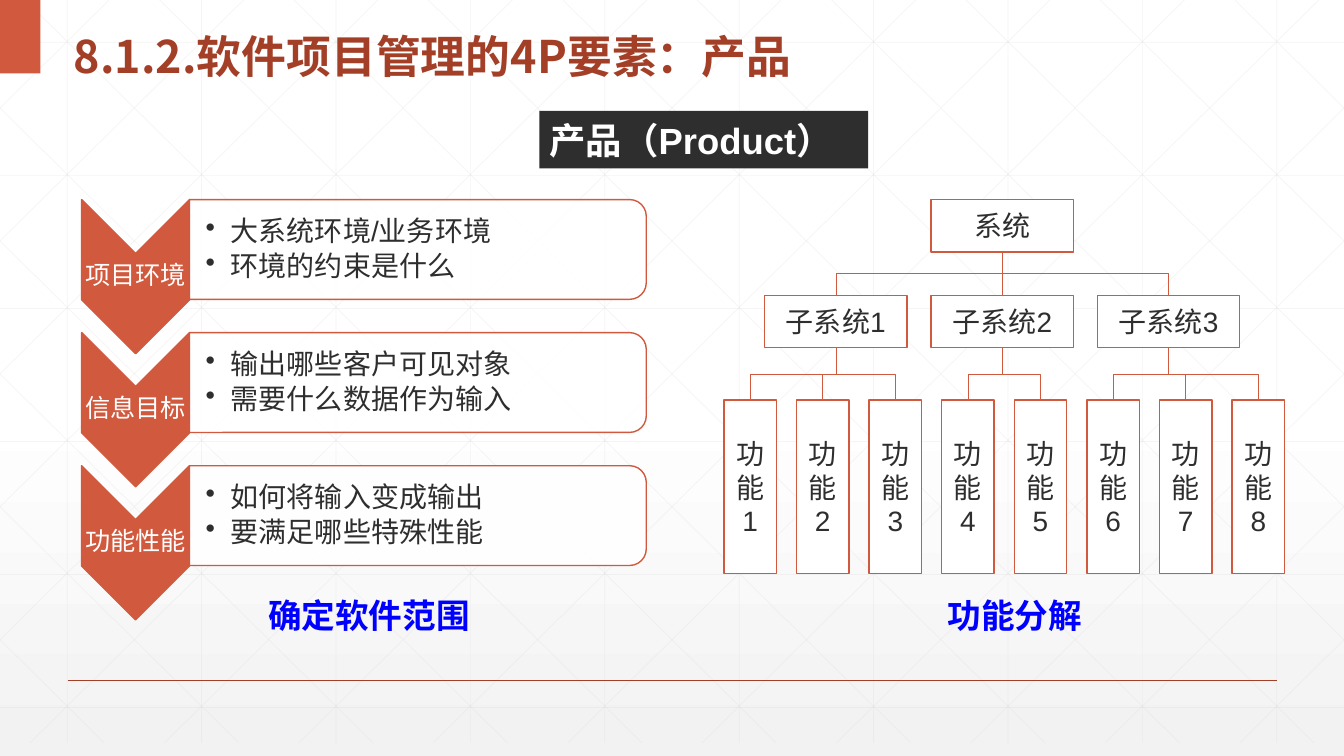
from lxml.etree import SubElement
from pptx import Presentation
from pptx.dml.color import RGBColor
from pptx.enum.shapes import MSO_CONNECTOR as Connector, MSO_SHAPE as Preset
from pptx.enum.text import MSO_ANCHOR as Anchor, MSO_AUTO_SIZE as AutoSize, PP_ALIGN as Align
from pptx.oxml.ns import qn
from pptx.util import Inches, Pt

WIDTH, HEIGHT, GRID_BOTTOM = 13.33, 7.5, 7.37
LATIN, CJK = "Arial", "Noto Sans CJK SC"
ORANGE, RUST, DARK, WHITE, BLUE = "D15A3E", "A43F27", "2D2E2D", "FFFFFF", "0000FF"

TITLE = "8.1.2.软件项目管理的4P要素：产品"
PRODUCT = "产品（Product）"
SCOPE = [
    ("项目环境", ["大系统环境/业务环境", "环境的约束是什么"]),
    ("信息目标", ["输出哪些客户可见对象", "需要什么数据作为输入"]),
    ("功能性能", ["如何将输入变成输出", "要满足哪些特殊性能"]),
]
SYSTEM = "系统"
SUBSYSTEMS = [
    ("子系统1", ["功能1", "功能2", "功能3"]),
    ("子系统2", ["功能4", "功能5"]),
    ("子系统3", ["功能6", "功能7", "功能8"]),
]
CAPTIONS = [("确定软件范围", 2.56, 2.22), ("功能分解", 9.3, 1.56)]

GRID_STEP, GRID_ROW_STEP, DIAGONAL_RUN = WIDTH / 10, 1.32, 7.45
SCOPE_TOP, SCOPE_STEP = 1.98, 1.32
CHEVRON_LEFT, CHEVRON_WIDTH, CHEVRON_HEIGHT = 0.81, 1.07, 1.53
PANEL_LEFT, PANEL_WIDTH, PANEL_HEIGHT = 1.88, 4.53, 0.99
SYSTEM_CENTER, SUBSYSTEM_STEP, BOX_WIDTH, BOX_HEIGHT = 9.94, 1.65, 1.41, 0.52
SYSTEM_TOP, SUBSYSTEM_TOP, FUNCTION_TOP = 1.98, 2.93, 3.97
FUNCTION_LEFT, FUNCTION_STEP, FUNCTION_WIDTH, FUNCTION_HEIGHT = 7.18, 0.72, 0.52, 1.72


def color(hex_string):
    return RGBColor.from_string(hex_string)


def set_alpha(fill_owner, percent):
    rgb = next(fill_owner.iter(qn("a:srgbClr")))
    SubElement(rgb, qn("a:alpha")).set("val", str(percent * 1000))


def write(shape, lines, size, ink, font=LATIN, bold=False, align=Align.LEFT,
          anchor=Anchor.TOP, spacing=None, after=None, bullet=None, wrap=True, insets=None):
    frame = shape.text_frame
    frame.auto_size = AutoSize.NONE
    frame.word_wrap = wrap
    frame.vertical_anchor = anchor
    if insets:
        frame.margin_left, frame.margin_top, frame.margin_right, frame.margin_bottom = map(Inches, insets)
    for index, line in enumerate(lines):
        paragraph = frame.add_paragraph() if index else frame.paragraphs[0]
        paragraph.alignment = align
        if spacing:
            paragraph.line_spacing = spacing
        if after:
            paragraph.space_after = Pt(after)
        if bullet:
            properties = paragraph._p.get_or_add_pPr()
            properties.set("marL", str(Inches(0.25)))
            properties.set("indent", str(-Inches(0.25)))
            SubElement(properties, qn("a:buChar")).set("char", bullet)
        run = paragraph.add_run()
        run.text = line
        run.font.size, run.font.bold, run.font.name = Pt(size), bold, font
        run.font.color.rgb = color(ink)
        SubElement(run._r.get_or_add_rPr(), qn("a:ea")).set("typeface", CJK)


def add_box(slide, preset, left, top, width, height, fill, line=None, rotation=0):
    shape = slide.shapes.add_shape(preset, *map(Inches, (left, top, width, height)))
    shape.shadow.inherit = False
    shape.rotation = rotation
    shape.fill.solid()
    shape.fill.fore_color.rgb = color(fill)
    if line:
        shape.line.color.rgb = color(line)
        shape.line.width = Pt(1)
    else:
        shape.line.fill.background()
    return shape


def add_turned_box(slide, preset, left, top, width, height, fill):
    shift = (width - height) / 2
    return add_box(slide, preset, left + shift, top - shift, height, width, fill, ORANGE, 90)


def add_text_box(slide, left, top, width, height, lines, **text_format):
    box = slide.shapes.add_textbox(*map(Inches, (left, top, width, height)))
    write(box, lines, **text_format)
    return box


def add_line(slide, start, end, ink, weight, kind=Connector.STRAIGHT):
    connector = slide.shapes.add_connector(kind, *map(Inches, (*start, *end)))
    connector.line.color.rgb = color(ink)
    connector.line.width = Pt(weight)
    SubElement(connector._element.spPr, qn("a:effectLst"))
    return connector


def add_branch(slide, start, end):
    (x1, y1), (x2, y2) = start, end
    if abs(x1 - x2) < 0.01:
        add_line(slide, start, end, ORANGE, 0.5)
        return
    middle_x, middle_y = (x1 + x2) / 2, (y1 + y2) / 2
    half_drop, half_span = (y2 - y1) / 2, abs(x2 - x1) / 2
    side = 1 if x2 < x1 else -1
    connector = add_line(slide, (middle_x - side * half_drop, middle_y - half_span),
                         (middle_x + side * half_drop, middle_y + half_span),
                         ORANGE, 0.5, Connector.ELBOW)
    connector._element.spPr.find(qn("a:xfrm")).set("rot", str((90 if side > 0 else 270) * 60000))


def add_background(slide):
    fill = slide.background.fill
    fill.gradient()
    fill.gradient_angle = 270
    for stop, position, shade in zip(fill.gradient_stops, (0.53, 1), (WHITE, "F2F2F2")):
        stop.position = position
        stop.color.rgb = color(shade)
    lines = [((GRID_STEP * (k + 0.5), 0), (GRID_STEP * (k + 0.5), GRID_BOTTOM)) for k in range(10)]
    lines += [((0, 0.42 + GRID_ROW_STEP * k), (WIDTH, 0.42 + GRID_ROW_STEP * k)) for k in range(6)]
    slope = GRID_BOTTOM / DIAGONAL_RUN
    for k in range(-5, 10):
        origin = 0.25 + GRID_STEP * k
        left, right = max(0, origin), min(WIDTH, origin + DIAGONAL_RUN)
        top, bottom = (left - origin) * slope, (right - origin) * slope
        lines += [((left, top), (right, bottom)), ((WIDTH - left, top), (WIDTH - right, bottom))]
    for start, end in lines:
        set_alpha(add_line(slide, start, end, "D9D9D9", 0.5)._element.spPr, 25)
    add_line(slide, (0.67, 6.75), (12.67, 6.75), RUST, 1)
    add_box(slide, Preset.RECTANGLE, 0, 0, 0.4, 0.73, ORANGE)


def add_title(slide):
    title = slide.shapes.title
    title.left, title.top, title.width, title.height = map(Inches, (0.63, 0.11, 11.86, 0.73))
    write(title, [TITLE], size=32, ink=RUST, font=CJK, bold=True, anchor=Anchor.MIDDLE, spacing=1.3)
    slide.shapes._spTree.append(title._element)


def add_scope(slide):
    for row, (label, points) in enumerate(SCOPE):
        top = SCOPE_TOP + row * SCOPE_STEP
        add_turned_box(slide, Preset.CHEVRON, CHEVRON_LEFT, top, CHEVRON_WIDTH, CHEVRON_HEIGHT, ORANGE)
        add_text_box(slide, CHEVRON_LEFT, top + CHEVRON_WIDTH / 2, CHEVRON_WIDTH, 0.46, [label],
                     size=18, ink=WHITE, align=Align.CENTER, anchor=Anchor.MIDDLE,
                     spacing=0.9, insets=(0.01,) * 4)
        panel = add_turned_box(slide, Preset.ROUND_2_SAME_RECTANGLE, PANEL_LEFT, top,
                               PANEL_WIDTH, PANEL_HEIGHT, WHITE)
        set_alpha(panel._element.spPr, 90)
        add_text_box(slide, PANEL_LEFT, top + 0.05, PANEL_WIDTH - 0.05, 0.9, points,
                     size=20, ink=DARK, anchor=Anchor.MIDDLE, spacing=0.9, after=3, bullet="•",
                     insets=(0.16, 0.01, 0.01, 0.01))


def add_node(slide, center, top, width, height, label):
    node = add_box(slide, Preset.RECTANGLE, center - width / 2, top, width, height, WHITE, ORANGE)
    write(node, [label], size=20, ink=DARK, align=Align.CENTER, anchor=Anchor.MIDDLE)


def add_breakdown(slide):
    add_node(slide, SYSTEM_CENTER, SYSTEM_TOP, BOX_WIDTH, BOX_HEIGHT, SYSTEM)
    function_center = FUNCTION_LEFT + FUNCTION_WIDTH / 2
    for column, (label, functions) in enumerate(SUBSYSTEMS):
        center = SYSTEM_CENTER + (column - 1) * SUBSYSTEM_STEP
        add_node(slide, center, SUBSYSTEM_TOP, BOX_WIDTH, BOX_HEIGHT, label)
        add_branch(slide, (SYSTEM_CENTER, SYSTEM_TOP + BOX_HEIGHT), (center, SUBSYSTEM_TOP))
        for function in functions:
            add_node(slide, function_center, FUNCTION_TOP, FUNCTION_WIDTH, FUNCTION_HEIGHT, function)
            add_branch(slide, (center, SUBSYSTEM_TOP + BOX_HEIGHT), (function_center, FUNCTION_TOP))
            function_center += FUNCTION_STEP


def main():
    """Build the product slide and save it."""
    presentation = Presentation()
    presentation.slide_width, presentation.slide_height = Inches(WIDTH), Inches(HEIGHT)
    slide = presentation.slides.add_slide(presentation.slide_layouts[5])
    add_background(slide)
    add_title(slide)
    add_scope(slide)
    add_breakdown(slide)
    for caption, left, width in CAPTIONS:
        add_text_box(slide, left, 5.85, width, 0.5, [caption], size=24, ink=BLUE, bold=True, wrap=False)
    banner = add_text_box(slide, 5.35, 1.1, 3.26, 0.57, [PRODUCT], size=26, ink=WHITE, bold=True,
                          anchor=Anchor.MIDDLE, insets=(0.1, 0.02, 0.02, 0.02))
    banner.fill.solid()
    banner.fill.fore_color.rgb = color(DARK)
    presentation.save("out.pptx")


if __name__ == "__main__":
    main()
